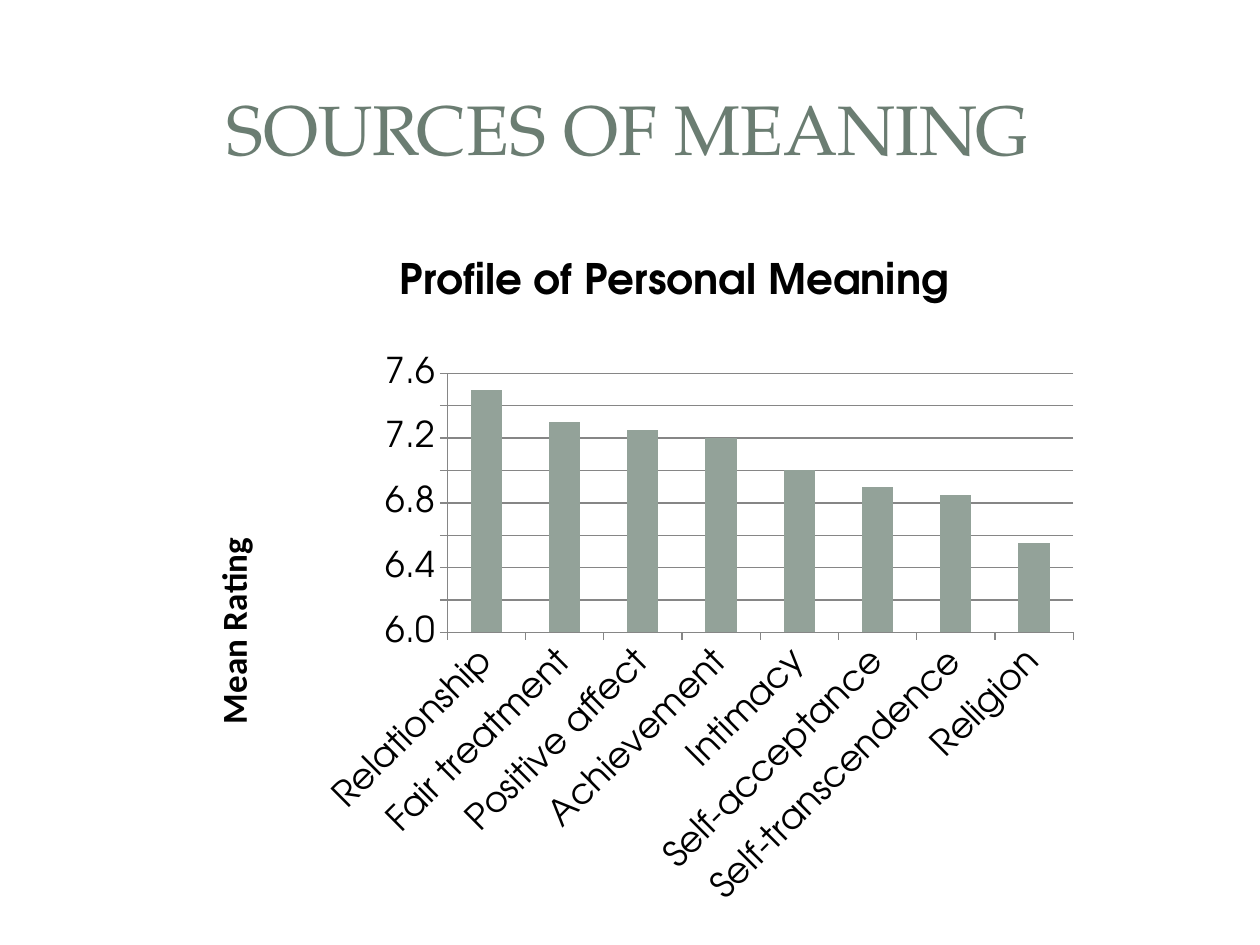
from dataclasses import dataclass

from lxml import etree
from pptx import Presentation
from pptx.chart.data import CategoryChartData
from pptx.dml.color import RGBColor
from pptx.enum.chart import XL_CHART_TYPE, XL_TICK_MARK
from pptx.enum.shapes import MSO_SHAPE
from pptx.enum.text import MSO_ANCHOR, PP_ALIGN
from pptx.oxml.ns import qn
from pptx.util import Pt

COLUMNS = XL_CHART_TYPE.COLUMN_CLUSTERED
TICK_OUTSIDE = XL_TICK_MARK.OUTSIDE
RECTANGLE = MSO_SHAPE.RECTANGLE
ROUNDED = MSO_SHAPE.ROUNDED_RECTANGLE
MIDDLE = MSO_ANCHOR.MIDDLE
CENTER = PP_ALIGN.CENTER
TITLE_ONLY = 5

COLORS = {
    "title": "6B7D72",
    "text": "000000",
    "bar": "93A299",
    "line": "868686",
    "panel": "FFFFFF",
}
HEADING_FONT = "TeX Gyre Pagella"
CHART_FONT = "TeX Gyre Adventor"
AXIS_TITLE_FONT = "Carlito"
CHART_WIDTH, CHART_HEIGHT = 520.5, 393


@dataclass
class Rating:
    source: str
    mean: float


@dataclass
class Panel:
    shape: MSO_SHAPE
    left: float
    top: float
    width: float
    height: float
    opacity: int = 100


RATINGS = [
    Rating("Relationship", 7.5),
    Rating("Fair treatment", 7.3),
    Rating("Positive affect", 7.25),
    Rating("Achievement", 7.2),
    Rating("Intimacy", 7.0),
    Rating("Self-acceptance", 6.9),
    Rating("Self-transcendence", 6.85),
    Rating("Religion", 6.55),
]

PANELS = [
    Panel(ROUNDED, 7.2, 7.9, 705.6, 524.9),
    Panel(RECTANGLE, 21.6, 21.6, 676.8, 104.4, opacity=83),
    Panel(RECTANGLE, 29.5, 29.5, 660.2, 87.8),
]


def style_font(font, name: str, size: float, color: str, bold: bool = False) -> None:
    font.name = name
    font.size = Pt(size)
    font.bold = bold
    font.color.rgb = RGBColor.from_string(COLORS[color])


def style_line(line) -> None:
    line.color.rgb = RGBColor.from_string(COLORS["line"])
    line.width = Pt(0.75)


def paint(fill, color: str) -> None:
    fill.solid()
    fill.fore_color.rgb = RGBColor.from_string(COLORS[color])


def place(element, index: int, inner: bool = False, **points: float) -> None:
    for old_layout in element.findall(qn("c:layout")):
        element.remove(old_layout)
    layout = etree.Element(qn("c:layout"))
    manual = etree.SubElement(layout, qn("c:manualLayout"))
    settings = {"layoutTarget": "inner"} if inner else {}
    settings.update(xMode="edge", yMode="edge")
    for tag, length in points.items():
        settings[tag] = length / (CHART_WIDTH if tag in "xw" else CHART_HEIGHT)
    for tag, value in settings.items():
        etree.SubElement(manual, qn(f"c:{tag}")).set("val", str(value))
    element.insert(index, layout)


def write_title(title, text: str, font: str, size: float, x: float, y: float) -> None:
    frame = title.text_frame
    frame.text = text
    style_font(frame.paragraphs[0].font, font, size, "text", bold=True)
    place(title._element, 1, x=x, y=y)


def rotate(element, degrees: int) -> None:
    body = element.find(".//" + qn("a:bodyPr"))
    body.set("rot", str(degrees * 60000))
    body.set("vert", "horz")


def add_panel(page, panel: Panel) -> None:
    box = page.shapes.add_shape(
        panel.shape, Pt(panel.left), Pt(panel.top), Pt(panel.width), Pt(panel.height)
    )
    box.shadow.inherit = False
    box.line.fill.background()
    paint(box.fill, "panel")
    if panel.shape == ROUNDED:
        box.adjustments[0] = 0.02
    if panel.opacity < 100:
        color = box._element.spPr.find(".//" + qn("a:srgbClr"))
        etree.SubElement(color, qn("a:alpha")).set("val", str(panel.opacity * 1000))


def add_heading(page) -> None:
    title = page.shapes.title
    title._element.getparent().append(title._element)
    title.left, title.top, title.width, title.height = Pt(33.8), Pt(32), Pt(650), Pt(82)
    frame = title.text_frame
    frame.text = "SOURCES OF MEANING"
    frame.vertical_anchor = MIDDLE
    para = frame.paragraphs[0]
    para.alignment = CENTER
    style_font(para.font, HEADING_FONT, 40, "title")


def style_axis(axis) -> None:
    axis.major_tick_mark = TICK_OUTSIDE
    style_font(axis.tick_labels.font, CHART_FONT, 20.3, "text")
    style_line(axis.format.line)


def add_ratings_chart(page) -> None:
    data = CategoryChartData(number_format="General")
    data.categories = [rating.source for rating in RATINGS]
    data.add_series("Series 1", [rating.mean for rating in RATINGS])
    chart = page.shapes.add_chart(
        COLUMNS, Pt(103), Pt(132.5), Pt(CHART_WIDTH), Pt(CHART_HEIGHT), data
    ).chart
    style_font(chart.font, CHART_FONT, 20.3, "text")
    chart.has_legend = False
    chart.has_title = True
    write_title(chart.chart_title, "Profile of Personal Meaning", CHART_FONT, 24, 121, 10.5)

    plot = chart.plots[0]
    plot.gap_width = 150
    plot.vary_by_categories = False
    paint(plot.series[0].format.fill, "bar")
    plot_area = chart._chartSpace.find(".//" + qn("c:plotArea"))
    place(plot_area, 0, inner=True, x=152.6, y=80.9, w=357.7, h=148)

    sources = chart.category_axis
    style_axis(sources)
    rotate(sources._element.find(qn("c:txPr")), -45)

    means = chart.value_axis
    style_axis(means)
    means.minimum_scale, means.maximum_scale, means.major_unit = 6, 7.6, 0.2
    means.tick_labels.number_format = "#,##0.0"
    means.tick_labels.number_format_is_linked = False
    means.has_major_gridlines = True
    style_line(means.major_gridlines.format.line)
    write_title(means.axis_title, "Mean Rating", AXIS_TITLE_FONT, 20, 12.6, 171)
    rotate(means.axis_title._element, -90)


def main() -> None:
    deck = Presentation()
    deck.slide_width, deck.slide_height = Pt(720), Pt(540)
    page = deck.slides.add_slide(deck.slide_layouts[TITLE_ONLY])
    for panel in PANELS:
        add_panel(page, panel)
    add_heading(page)
    add_ratings_chart(page)
    deck.save("out.pptx")


if __name__ == "__main__":
    main()
